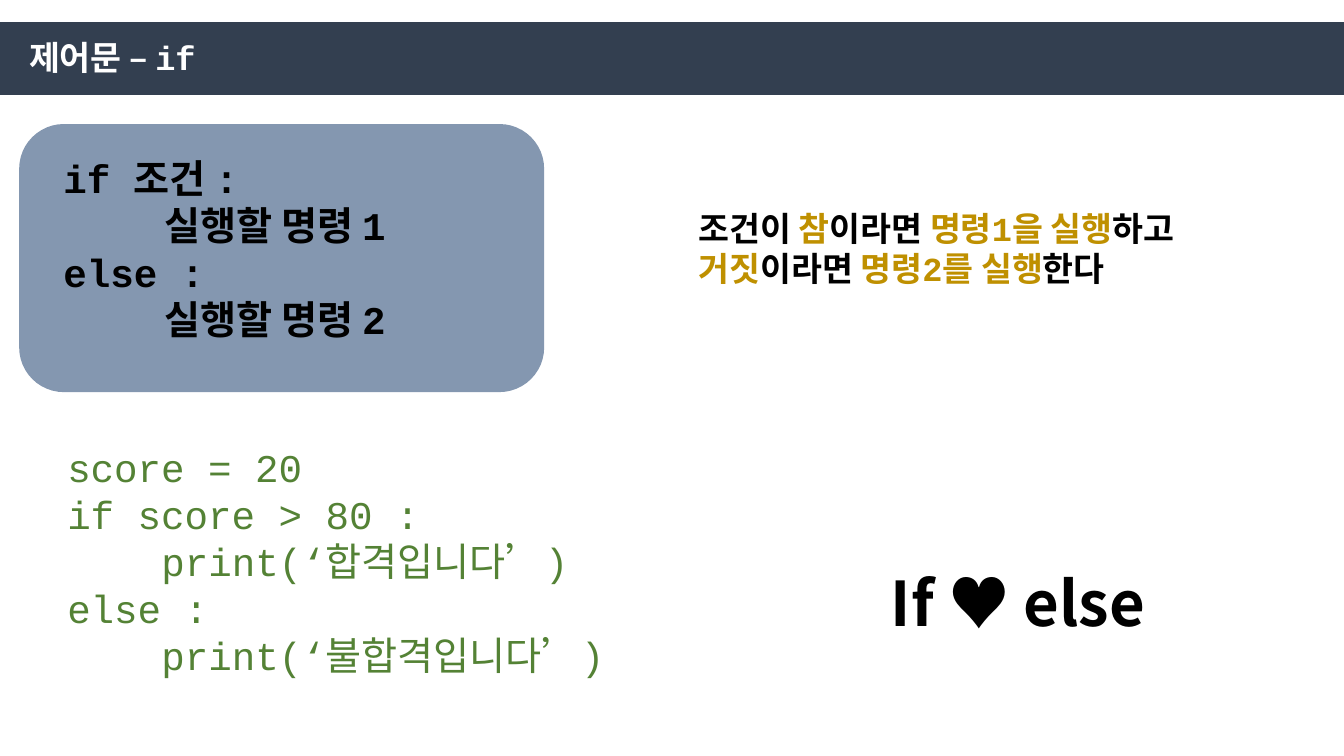
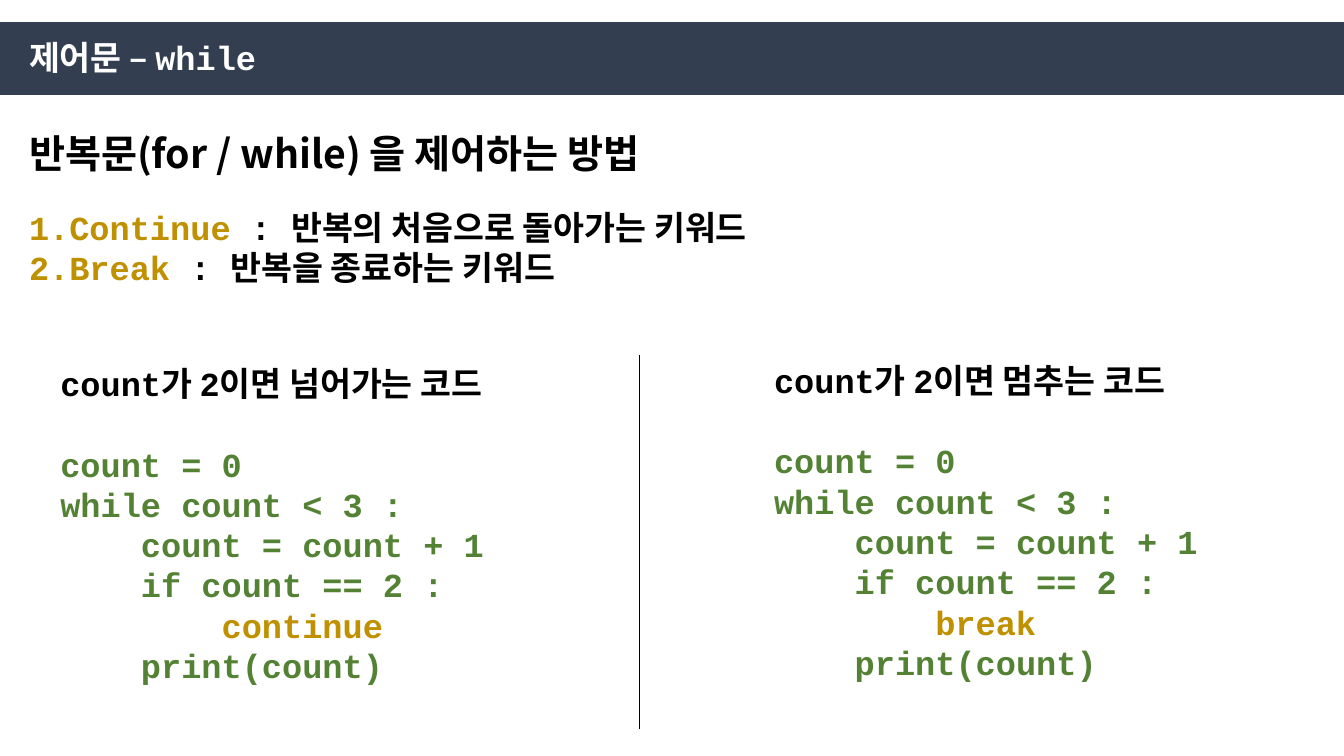
from pptx import Presentation
from pptx.dml.color import RGBColor
from pptx.enum import shapes, text
from pptx.oxml import parse_xml
from pptx.oxml import ns
from pptx.util import Pt

NAVY, STEEL = "333F50", "8497B0"
BLACK, WHITE, GOLD, GREEN = "000000", "FFFFFF", "BF9000", "548235"
MONO, SANS = "Courier New", "Noto Sans CJK KR"


def rgb(value):
    return RGBColor.from_string(value)


class Deck:
    width, height = 960, 540

    def __init__(self):
        self.prs = Presentation()
        self.prs.slide_width, self.prs.slide_height = Pt(self.width), Pt(self.height)

    def slide(self, title):
        self.s = self.prs.slides.add_slide(self.prs.slide_layouts[6])
        self.block(shapes.MSO_SHAPE.RECTANGLE, 0, 15.8, self.width, 52, NAVY)
        self.text(13.7, 23, 714, 65.5, [self.para(title, WHITE)])

    def block(self, kind, x, y, w, h, color):
        sp = self.s.shapes.add_shape(kind, Pt(x), Pt(y), Pt(w), Pt(h))
        sp.shadow.inherit = False
        sp.fill.solid()
        sp.fill.fore_color.rgb = rgb(color)
        sp.line.fill.background()

    def line(self, x, top, bottom):
        c = self.s.shapes.add_connector(
            shapes.MSO_CONNECTOR.STRAIGHT, Pt(x), Pt(top), Pt(x), Pt(bottom))
        c.line.color.rgb = rgb(BLACK)
        c.line.width = Pt(0.5)
        c._element.spPr.append(parse_xml(f"<a:effectLst {ns.nsdecls('a')}/>"))

    @staticmethod
    def para(content, color=BLACK, **style):
        runs = [(content, color)] if isinstance(content, str) else content
        return {"runs": runs, **style}

    def text(self, x, y, w, h, paras, size=24, font=MONO, bold=True):
        tf = self.s.shapes.add_textbox(Pt(x), Pt(y), Pt(w), Pt(h)).text_frame
        tf.word_wrap = True
        tf.vertical_anchor = text.MSO_ANCHOR.TOP
        for i, item in enumerate(paras):
            p = tf.paragraphs[0] if i == 0 else tf.add_paragraph()
            p.space_before = Pt(item.get("before", 0))
            pPr = p._p.get_or_add_pPr()
            if "indent" in item:
                pPr.set("marL", str(Pt(item["indent"])))
            if item.get("numbered"):
                pPr.set("indent", str(-Pt(item["indent"])))
                pPr.append(parse_xml(
                    f'<a:buAutoNum {ns.nsdecls("a")} type="arabicPeriod"/>'))
            for content, color in item["runs"]:
                r = p.add_run()
                r.text = content
                r.font.size = Pt(item.get("size", size))
                r.font.name = item.get("font", font)
                r.font.bold = bold
                r.font.color.rgb = rgb(color)

    def code(self, x, y, w, h, lines, size, color, bold=True, step=None, head=()):
        step = step or size * 2.4
        paras = list(head)
        for level, content, *special in lines:
            paras.append(self.para(content, *(special or [color]), indent=level * step))
        if head:
            paras[len(head)]["before"] = size * 1.2
        self.text(x, y, w, h, paras, size, bold=bold)


deck = Deck()
para = deck.para

deck.slide("제어문 – if")
deck.block(shapes.MSO_SHAPE.ROUNDED_RECTANGLE, 13.7, 88.6, 375, 191.5, STEEL)
deck.code(38.2, 106.6, 415.4, 143.3, [
    (0, "if 조건 :"),
    (1, "실행할 명령 1"),
    (0, "else :"),
    (1, "실행할 명령 2"),
], 28, BLACK, step=72)
deck.text(491.8, 144.7, 455, 65.5, [
    para([("조건이 ", BLACK), ("참", GOLD), ("이라면 ", BLACK),
          ("명령1을 실행", GOLD), ("하고", BLACK)]),
    para([("거짓", GOLD), ("이라면 ", BLACK),
          ("명령2를 실행", GOLD), ("한다", BLACK)]),
])
deck.code(41, 313.2, 422.6, 211, [
    (0, "score = 20"),
    (0, "if score > 80 :"),
    (1, "print(‘합격입니다’)"),
    (0, "else :"),
    (1, "print(‘불합격입니다’)"),
], 28, GREEN, bold=False)
deck.text(629.3, 400.3, 338.4, 60.5, [para("If ♥ else")], 44, SANS)

deck.slide("제어문 – while")
deck.text(13.7, 88.6, 687, 165, [
    para("반복문(for / while) 을 제어하는 방법", size=28, font=SANS),
    para([("Continue", GOLD), (" : 반복의 처음으로 돌아가는 키워드", BLACK)],
         indent=27, numbered=True, before=22),
    para([("Break ", GOLD), (": 반복을 종료하는 키워드", BLACK)],
         indent=27, numbered=True),
])
for x, y, w, verb, keyword in [
    (36, 255.6, 598.3, "넘어가는", "continue"),
    (545.8, 253.4, 350, "멈추는", "break"),
]:
    deck.code(x, y, w, 239.8, [
        (0, "count = 0"),
        (0, "while count < 3 :"),
        (1, "count = count + 1"),
        (1, "if count == 2 :"),
        (2, keyword, GOLD),
        (1, "print(count)"),
    ], 24, GREEN, head=[para(f"count가 2이면 {verb} 코드")])
deck.line(456.5, 253.4, 520.6)

deck.prs.save("out.pptx")
